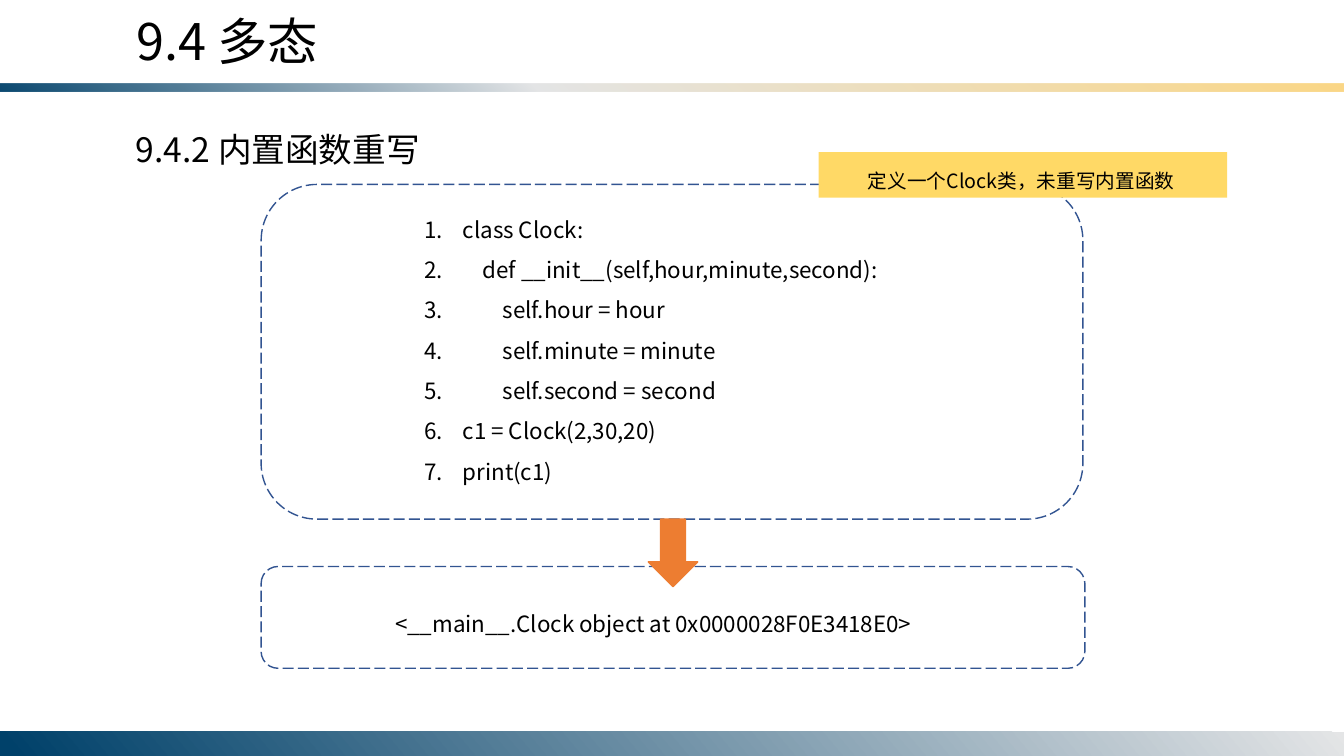
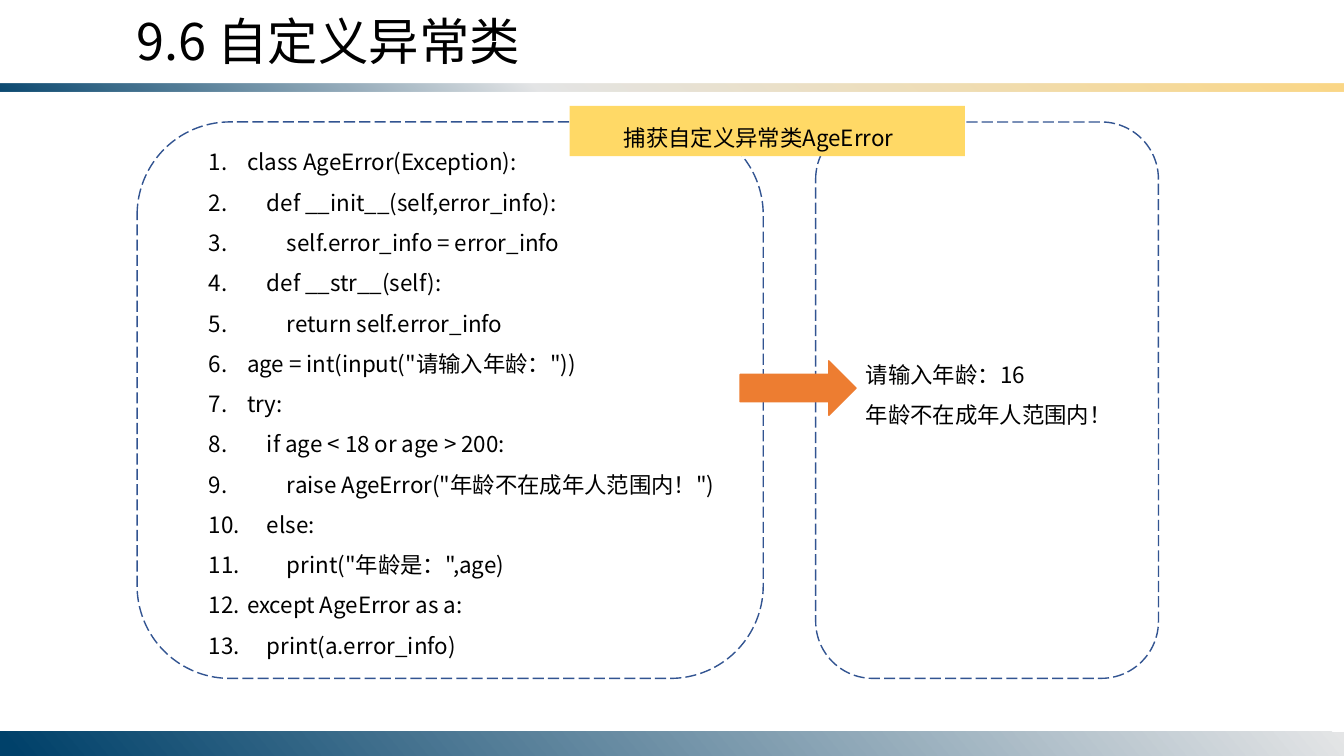
from typing import NamedTuple

from lxml.etree import SubElement
from pptx import Presentation
from pptx.dml.color import RGBColor
from pptx.enum.dml import MSO_LINE_DASH_STYLE as Dash
from pptx.enum.shapes import MSO_SHAPE as Preset
from pptx.enum.text import MSO_ANCHOR as Anchor, MSO_AUTO_SIZE as AutoSize, PP_ALIGN as Align
from pptx.oxml import parse_xml
from pptx.oxml.ns import nsdecls, qn
from pptx.util import Inches, Pt

FONT = "Noto Sans CJK SC"
COLORS = {"text": "000000", "frame": "325491", "arrow": "ED7D31", "label": "FFD966",
          "navy": "00416A", "silver": "E4E5E6", "gold": "FBD786"}
SLIDE_W, SLIDE_H = 13.33, 7.5
CODE_INDENT = 0.38

CLOCK_CODE = """class Clock:
    def __init__(self,hour,minute,second):
        self.hour = hour
        self.minute = minute
        self.second = second
c1 = Clock(2,30,20)
print(c1)"""

AGE_CODE = """class AgeError(Exception):
    def __init__(self,error_info):
        self.error_info = error_info
    def __str__(self):
        return self.error_info
age = int(input("请输入年龄："))
try:
    if age < 18 or age > 200:
        raise AgeError("年龄不在成年人范围内！")
    else:
        print("年龄是：",age)
except AgeError as a:
    print(a.error_info)"""


class Box(NamedTuple):
    """A rectangle in inches."""
    left: float
    top: float
    width: float
    height: float

    def inner(self, dx, dy, width, height):
        """Return a box offset from this one's top left corner."""
        return Box(self.left + dx, self.top + dy, width, height)

    def lengths(self):
        """Return the four sides as lengths."""
        return [Inches(side) for side in self]


def color(name):
    """Look up a named colour."""
    return RGBColor.from_string(COLORS[name])


def move(placeholder, box):
    """Move a placeholder into a box."""
    placeholder.left, placeholder.top, placeholder.width, placeholder.height = box.lengths()


def write(frame, lines, size, spacing=1.5, indent=0, numbered=False):
    """Write lines of text as left-aligned paragraphs."""
    frame.word_wrap = True
    frame.auto_size = AutoSize.NONE
    frame.vertical_anchor = Anchor.TOP
    for index, line in enumerate(lines):
        paragraph = frame.paragraphs[0] if index == 0 else frame.add_paragraph()
        properties = paragraph._p.get_or_add_pPr()
        hanging = CODE_INDENT if numbered else 0
        properties.set("marL", str(Inches(hanging)))
        properties.set("indent", str(Inches(indent - hanging)))
        if numbered:
            SubElement(properties, qn("a:buFont"), typeface=FONT)
            SubElement(properties, qn("a:buAutoNum"), type="arabicPeriod")
        paragraph.alignment = Align.LEFT
        paragraph.line_spacing = spacing
        paragraph.space_before = Pt(0)
        run = paragraph.add_run()
        run.text = line
        run.font.size = Pt(size)
        run.font.name = FONT
        run.font.color.rgb = color("text")
        SubElement(run._r.get_or_add_rPr(), qn("a:ea"), typeface=FONT)


def add_text(slide, box, lines, size, spacing=1.5):
    """Add a text box."""
    write(slide.shapes.add_textbox(*box.lengths()).text_frame, lines, size, spacing)


def add_preset(slide, preset, box):
    """Add a preset shape without a shadow."""
    shape = slide.shapes.add_shape(preset, *box.lengths())
    shape.shadow.inherit = False
    return shape


def add_frame(slide, box):
    """Add a dashed rounded frame."""
    frame = add_preset(slide, Preset.ROUNDED_RECTANGLE, box)
    frame.fill.background()
    frame.line.color.rgb = color("frame")
    frame.line.width = Pt(1)
    frame.line.dash_style = Dash.LONG_DASH


def add_arrow(slide, preset, box):
    """Add an orange block arrow."""
    arrow = add_preset(slide, preset, box)
    arrow.fill.solid()
    arrow.fill.fore_color.rgb = color("arrow")
    arrow.line.color.rgb = color("arrow")
    arrow.line.width = Pt(1)


def add_label(slide, box, caption, size, indent):
    """Add a yellow caption label."""
    label = add_preset(slide, Preset.RECTANGLE, box)
    label.fill.solid()
    label.fill.fore_color.rgb = color("label")
    label.line.fill.background()
    write(label.text_frame, [caption], size, indent=indent)


def add_code(slide, box, text_box, code):
    """Fill the body placeholder with numbered code inside a frame."""
    body = slide.placeholders[1]
    move(body, text_box)
    write(body.text_frame, code.splitlines(), 16, numbered=True)
    add_frame(slide, box)


def add_output(slide, box, text_box, lines):
    """Add program output inside a frame."""
    add_text(slide, text_box, lines, 16)
    add_frame(slide, box)


def add_band(prs, slide, box, stops, angle, flipped=False):
    """Build a gradient band and place it on the slide master."""
    band = add_preset(slide, Preset.RECTANGLE, box)
    band.line.fill.background()
    marks = "".join(
        f'<a:gs pos="{at * 1000}"><a:srgbClr val="{COLORS[name]}">'
        f'<a:alpha val="{alpha * 1000}"/></a:srgbClr></a:gs>'
        for at, name, alpha in stops)
    properties = band.element.spPr
    properties.insert(2, parse_xml(
        f'<a:gradFill {nsdecls("a")} rotWithShape="1"><a:gsLst>{marks}</a:gsLst>'
        f'<a:lin ang="{angle * 60000}" scaled="0"/></a:gradFill>'))
    if flipped:
        properties.find(qn("a:xfrm")).set("flipV", "1")
    tree = prs.slide_master.element.cSld.spTree
    band.element.nvSpPr.cNvPr.set("id", str(100 + len(tree)))
    tree.insert(2, band.element)


def add_bands(prs, slide):
    """Place the header and footer bands shared by all slides."""
    add_band(prs, slide, Box(0, 0.83, SLIDE_W, 0.08),
             [(0, "navy", 95), (40, "silver", 100), (100, "gold", 100)], 50, flipped=True)
    add_band(prs, slide, Box(0, SLIDE_H - 0.24, SLIDE_W, 0.24),
             [(0, "silver", 100), (99, "navy", 100)], 140)


def add_titled_slide(prs, title):
    """Add a slide with its title."""
    slide = prs.slides.add_slide(prs.slide_layouts[1])
    move(slide.shapes.title, Box(1.25, 0.05, 6.12, 0.71))
    write(slide.shapes.title.text_frame, [title], 36, spacing=1)
    return slide


def fill_clock_slide(slide):
    """Show the Clock code above its output."""
    code = Box(2.59, 1.83, 8.15, 3.32)
    output = Box(code.left, 5.62, 8.17, 1.01)
    add_text(slide, Box(1.25, 1.23, 3.05, 0.5), ["9.4.2 内置函数重写"], 24, spacing=1)
    add_code(slide, code, code.inner(1.52, 0.13, 5.11, 2.93), CLOCK_CODE)
    add_output(slide, output, output.inner(1.23, 0.25, 5.69, 0.5),
               ["<__main__.Clock object at 0x0000028F0E3418E0>"])
    add_arrow(slide, Preset.DOWN_ARROW, code.inner(3.84, code.height, 0.49, 0.67))
    add_label(slide, code.inner(5.53, -0.32, 4.05, 0.45),
              "定义一个Clock类，未重写内置函数", 14, 0.39)


def fill_age_slide(slide):
    """Show the AgeError code beside its output."""
    code = Box(1.36, 1.21, 6.21, 5.52)
    output = Box(8.09, code.top, 3.4, code.height)
    add_code(slide, code, code.inner(0.61, 0.08, 5.4, 5.35), AGE_CODE)
    add_output(slide, output, output.inner(0.4, 2.19, 2.6, 0.91),
               ["请输入年龄：16", "年龄不在成年人范围内！"])
    add_arrow(slide, Preset.RIGHT_ARROW, code.inner(5.98, 2.37, 1.15, 0.54))
    add_label(slide, code.inner(4.29, -0.16, 3.92, 0.5),
              "捕获自定义异常类AgeError", 16, 0.44)


def main():
    """Build and save the presentation."""
    prs = Presentation()
    prs.slide_width, prs.slide_height = Inches(SLIDE_W), Inches(SLIDE_H)
    clock_slide = add_titled_slide(prs, "9.4 多态")
    add_bands(prs, clock_slide)
    fill_clock_slide(clock_slide)
    fill_age_slide(add_titled_slide(prs, "9.6 自定义异常类"))
    prs.save("out.pptx")


if __name__ == "__main__":
    main()
